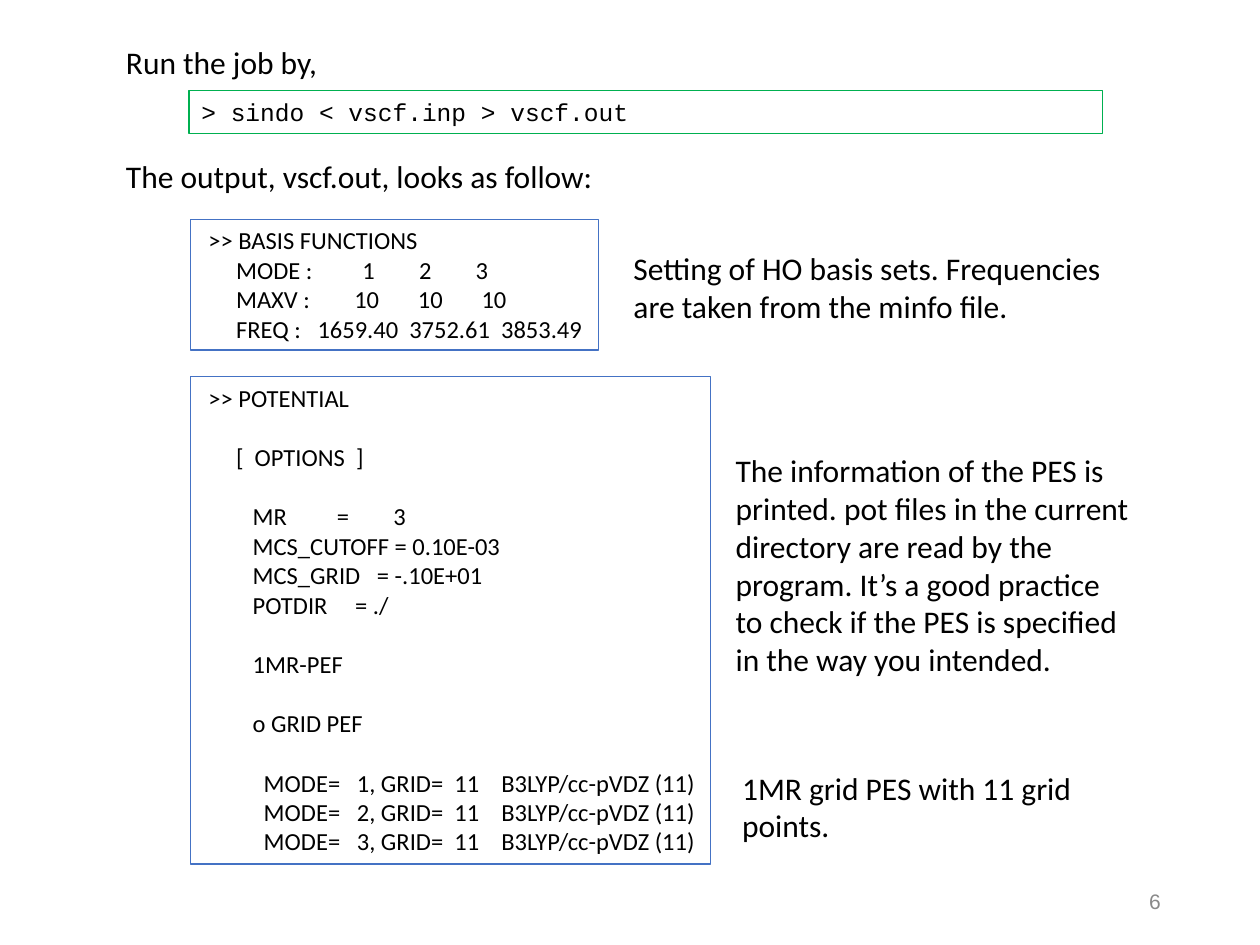
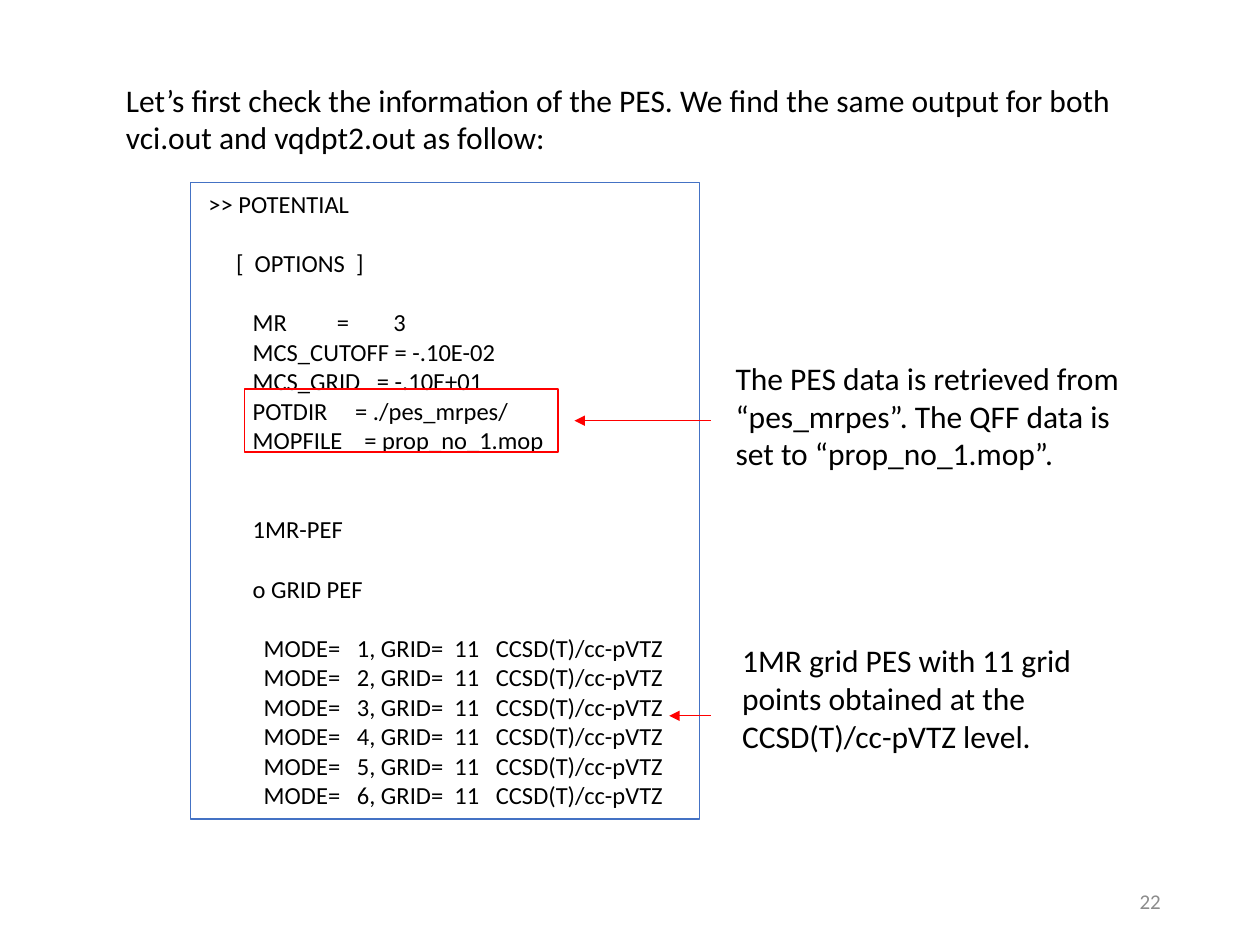
from dataclasses import dataclass

from lxml.etree import SubElement
from pptx import Presentation
from pptx.dml.color import RGBColor
from pptx.enum.shapes import MSO_CONNECTOR, MSO_SHAPE
from pptx.enum.text import MSO_ANCHOR, PP_ALIGN
from pptx.oxml.ns import qn
from pptx.util import Cm, Pt


@dataclass(frozen=True)
class Theme:
    text: str = "000000"
    page_number: str = "8C8C8C"
    listing_line: str = "4472C4"
    command_line: str = "00B050"
    accent: str = "FF0000"
    body_font: str = "Calibri"
    code_font: str = "Courier New"
    body_size: float = 18
    listing_size: float = 14
    number_size: float = 12
    listing_row: float = 17.1  # height of one listing line, in points
    frame_width: float = 0.75


THEME = Theme()

# Shared left edges and note width, in cm
INTRO_LEFT = 2.29
LISTING_LEFT = 3.84
NOTE_LEFT = 14.58
GRID_NOTE_LEFT = 14.71
NOTE_WIDTH = 8.53
GRID_NOTE_WIDTH = 7.98
ARROW_START = 14.33


def style_text(para, size, font=THEME.body_font, color=THEME.text):
    for span in para.runs:
        span.font.size = Pt(size)
        span.font.name = font
        span.font.color.rgb = RGBColor.from_string(color)


def add_text(page, text, left, top, width, height):
    box = page.shapes.add_textbox(Cm(left), Cm(top), Cm(width), Cm(height))
    box.text_frame.word_wrap = True
    para = box.text_frame.paragraphs[0]
    para.text = text
    style_text(para, THEME.body_size)
    return box


def add_page_number(page, number, font, color=THEME.page_number):
    box = add_text(page, str(number), 17.93, 17.65, 5.72, 1.02)
    box.text_frame.vertical_anchor = MSO_ANCHOR.MIDDLE
    para = box.text_frame.paragraphs[0]
    para.alignment = PP_ALIGN.RIGHT
    style_text(para, THEME.number_size, font, color)


def add_frame(page, left, top, width, height, color, line_width=THEME.frame_width):
    frame = page.shapes.add_shape(
        MSO_SHAPE.RECTANGLE, Cm(left), Cm(top), Cm(width), Cm(height))
    frame.shadow.inherit = False
    frame.fill.background()
    frame.line.color.rgb = RGBColor.from_string(color)
    frame.line.width = Pt(line_width)
    frame.text_frame.vertical_anchor = MSO_ANCHOR.TOP
    return frame


def add_command(page, command, left, top, width, height):
    frame = add_frame(page, left, top, width, height, THEME.command_line)
    para = frame.text_frame.paragraphs[0]
    para.text = command
    para.alignment = PP_ALIGN.LEFT
    style_text(para, THEME.listing_size, THEME.code_font)


def add_listing(page, blocks, top, width, height, wrap=False):
    """Each block is (rows of space above it, its lines)."""
    frame = add_frame(page, LISTING_LEFT, top, width, height, THEME.listing_line)
    frame.text_frame.word_wrap = wrap
    frame.text_frame.text = "\n".join(line for _, lines in blocks for line in lines)
    paras = iter(frame.text_frame.paragraphs)
    for gap, lines in blocks:
        for index in range(len(lines)):
            para = next(paras)
            para.alignment = PP_ALIGN.LEFT
            if gap and index == 0:
                para.space_before = Pt(gap * THEME.listing_row)
            style_text(para, THEME.listing_size)


def add_arrow(page, end, height):
    arrow = page.shapes.add_connector(
        MSO_CONNECTOR.STRAIGHT, Cm(ARROW_START), Cm(height), Cm(end), Cm(height))
    arrow.line.color.rgb = RGBColor.from_string(THEME.accent)
    arrow.line.width = Pt(0.5)
    SubElement(arrow.line._get_or_add_ln(), qn("a:tailEnd"), type="triangle")
    SubElement(arrow._element.spPr, qn("a:effectLst"))


def potential_blocks(cutoff, files, modes, level, gap_after_options=1):
    """The POTENTIAL section of the program output."""
    options = [
        "         MR         =        3",
        f"         MCS_CUTOFF = {cutoff}",
        "         MCS_GRID   = -.10E+01",
    ]
    grids = [f"           MODE=   {mode}, GRID=  11{level}"
             for mode in range(1, modes + 1)]
    return [
        (0, [" >> POTENTIAL"]),
        (1, ["      [  OPTIONS  ]"]),
        (1, options + files),
        (gap_after_options, ["         1MR-PEF"]),
        (1, ["         o GRID PEF"]),
        (1, grids),
    ]


def build_run_page(page):
    # Command
    add_text(page, "Run the job by,", INTRO_LEFT, 0.74, 14.58, 1.02)
    add_command(page, "> sindo < vscf.inp > vscf.out", 3.81, 1.83, 18.42, 0.86)
    add_text(page, "The output, vscf.out, looks as follow:",
             INTRO_LEFT, 3.05, 14.58, 1.02)

    # Program output
    basis = [(0, [
        " >> BASIS FUNCTIONS",
        "      MODE :         1        2        3",
        "      MAXV :        10       10       10",
        "      FREQ :   1659.40  3752.61  3853.49",
    ])]
    add_listing(page, basis, 4.42, 8.23, 2.64)
    potential = potential_blocks(
        "0.10E-03", ["         POTDIR     = ./"], 3, "    B3LYP/cc-pVDZ (11)")
    add_listing(page, potential, 7.59, 10.49, 9.83)

    # Notes
    add_text(page, "Setting of HO basis sets. Frequencies are taken from the minfo file.",
             12.52, 4.9, 10.57, 1.8)
    add_text(page, "The information of the PES is printed. pot files in the current "
             "directory are read by the program. It’s a good practice to check if "
             "the PES is specified in the way you intended.",
             NOTE_LEFT, 8.97, NOTE_WIDTH, 4.88)
    add_text(page, "1MR grid PES with 11 grid points.",
             GRID_NOTE_LEFT, 15.37, GRID_NOTE_WIDTH, 1.8)
    add_page_number(page, 6, "Arial", "898989")


def build_check_page(page):
    add_text(page, "Let’s first check the information of the PES. We find the same "
             "output for both vci.out and vqdpt2.out as follow:",
             INTRO_LEFT, 1.5, 20.37, 1.8)

    # Program output, with the file settings framed
    files = ["         POTDIR     = ./pes_mrpes/",
             "         MOPFILE    = prop_no_1.mop"]
    potential = potential_blocks(
        "-.10E-02", files, 6, "   CCSD(T)/cc-pVTZ", gap_after_options=2)
    add_listing(page, potential, 3.68, 10.26, 12.83, wrap=True)
    add_frame(page, 4.93, 7.85, 6.32, 1.27, THEME.accent, 1)

    # Notes and their arrows
    add_text(page, "The PES data is retrieved from “pes_mrpes”. The QFF data is "
             "set to “prop_no_1.mop”.", NOTE_LEFT, 7.11, NOTE_WIDTH, 2.57)
    add_arrow(page, 11.58, 8.48)
    add_text(page, "1MR grid PES with 11 grid points obtained at the "
             "CCSD(T)/cc-pVTZ level.", GRID_NOTE_LEFT, 12.8, GRID_NOTE_WIDTH, 2.57)
    add_arrow(page, 13.49, 14.43)
    add_page_number(page, 22, THEME.body_font)


def main():
    deck = Presentation()
    deck.slide_width, deck.slide_height = Cm(25.4), Cm(19.05)
    blank = deck.slide_layouts[6]
    for build_page in (build_run_page, build_check_page):
        build_page(deck.slides.add_slide(blank))
    deck.save("out.pptx")


if __name__ == "__main__":
    main()
